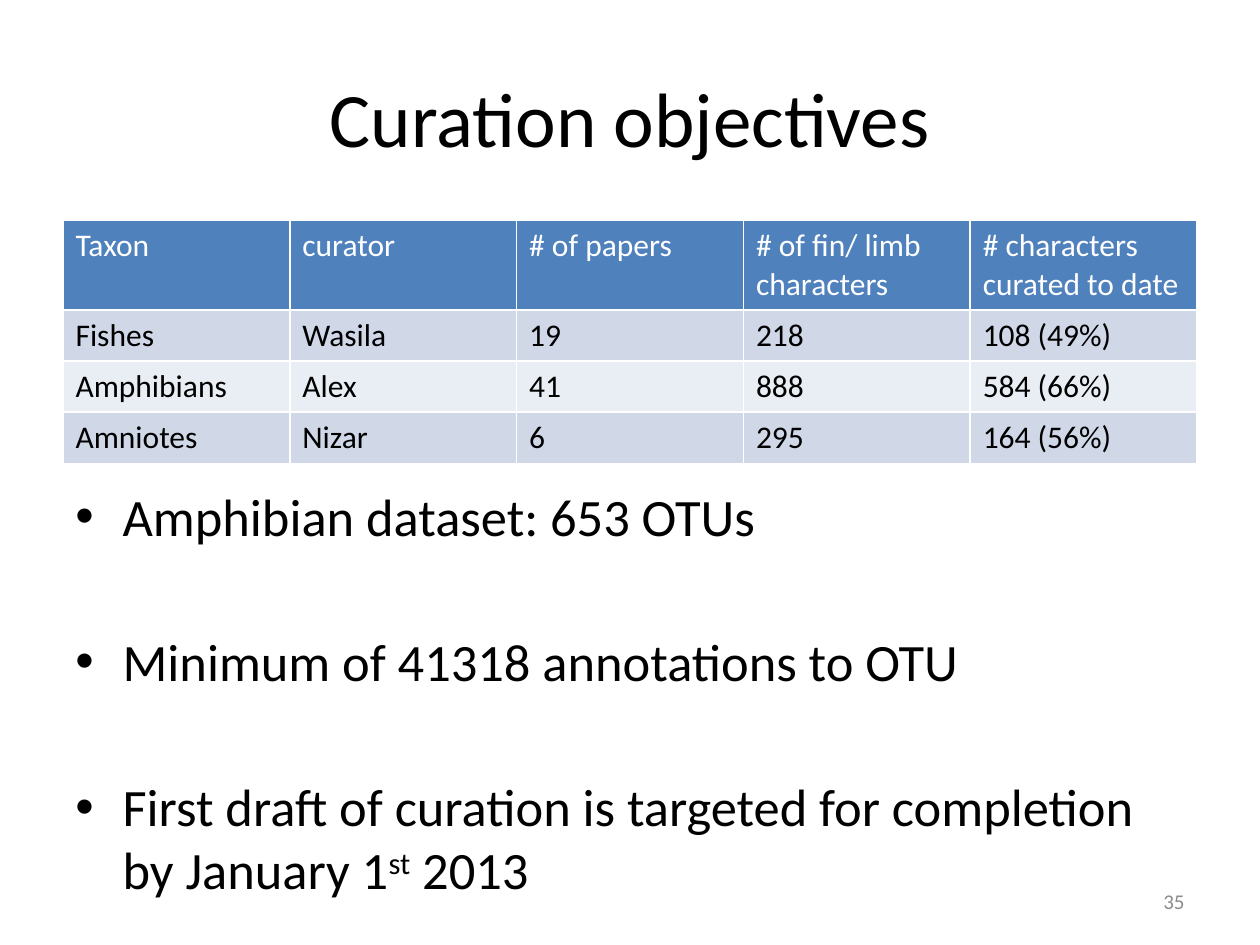
from lxml.etree import SubElement
from pptx import Presentation
from pptx.dml.color import RGBColor
from pptx.enum.text import MSO_ANCHOR, PP_ALIGN
from pptx.oxml.ns import qn
from pptx.util import Pt

BLACK = RGBColor(0x00, 0x00, 0x00)
WHITE = RGBColor(0xFF, 0xFF, 0xFF)
GRAY = RGBColor(0x8C, 0x8C, 0x8C)
HEADER_BLUE = RGBColor(0x4F, 0x81, 0xBD)
BAND_DARK = RGBColor(0xD0, 0xD8, 0xE8)
BAND_LIGHT = RGBColor(0xE9, 0xED, 0xF4)

PROGRESS = [
    ["Taxon", "curator", "# of papers", "# of fin/ limb characters",
     "# characters curated to date"],
    ["Fishes", "Wasila", "19", "218", "108 (49%)"],
    ["Amphibians", "Alex", "41", "888", "584 (66%)"],
    ["Amniotes", "Nizar", "6", "295", "164 (56%)"],
]
OBJECTIVES = [
    [("Amphibian dataset: 653 OTUs", False)],
    [("Minimum of 41318 annotations to OTU", False)],
    [("First draft of curation is targeted for completion by January 1", False),
     ("st", True), (" 2013", False)],
]


def set_font(font, size, color):
    """Apply the slide's typeface with a size and colour."""
    values = {"name": "Calibri", "size": Pt(size), "bold": False}
    for name, value in values.items():
        setattr(font, name, value)
    font.color.rgb = color


def place(shape, left, top, width, height):
    """Move a shape to a box given in points."""
    box = {"left": left, "top": top, "width": width, "height": height}
    for name, value in box.items():
        setattr(shape, name, Pt(value))


def add_title(slide, left, top, width, height):
    """Place and format the title placeholder."""
    title = slide.shapes.title
    place(title, left, top, width, height)
    title.text_frame.text = "Curation objectives"
    title.text_frame.vertical_anchor = MSO_ANCHOR.MIDDLE
    heading = title.text_frame.paragraphs[0]
    heading.alignment = PP_ALIGN.CENTER
    set_font(heading.font, 44, BLACK)


def add_borders(cell, widths):
    """Draw white borders, given as widths in points by side tag."""
    properties = cell._tc.get_or_add_tcPr()
    for index, (side, width) in enumerate(widths.items()):
        line = SubElement(properties, qn(f"a:{side}"), w=str(Pt(width)))
        color = SubElement(SubElement(line, qn("a:solidFill")), qn("a:srgbClr"))
        color.set("val", str(WHITE))
        properties.insert(index, line)


def add_progress_table(slide, left, top, width, header_height, row_height):
    """Build the banded table of curation progress per taxon."""
    height = header_height + row_height * (len(PROGRESS) - 1)
    table = slide.shapes.add_table(
        len(PROGRESS), len(PROGRESS[0]),
        Pt(left), Pt(top), Pt(width), Pt(height)).table
    for column in table.columns:
        column.width = Pt(width / len(PROGRESS[0]))
    for index, entries in enumerate(PROGRESS):
        is_header = index == 0
        table.rows[index].height = Pt(header_height if is_header else row_height)
        band = BAND_DARK if index % 2 else BAND_LIGHT
        for column, entry in enumerate(entries):
            cell = table.cell(index, column)
            cell.text = entry
            cell.fill.solid()
            cell.fill.fore_color.rgb = HEADER_BLUE if is_header else band
            set_font(cell.text_frame.paragraphs[0].runs[0].font, 18,
                     WHITE if is_header else BLACK)
            add_borders(cell, {"lnL": 1, "lnR": 1, "lnT": 1, "lnB": 1})


def add_objectives(slide, left, top, width, height):
    """Write the bulleted list of objectives."""
    frame = slide.shapes.add_textbox(
        Pt(left), Pt(top), Pt(width), Pt(height)).text_frame
    frame.word_wrap = True
    for index, objective in enumerate(OBJECTIVES):
        paragraph = frame.paragraphs[0] if index == 0 else frame.add_paragraph()
        properties = paragraph._p.get_or_add_pPr()
        properties.set("marL", str(Pt(27)))
        properties.set("indent", str(Pt(-27)))
        SubElement(properties, qn("a:buFont"), typeface="Arial")
        SubElement(properties, qn("a:buChar"), char="•")
        if index:
            paragraph.space_before = Pt(47)
        for wording, raised in objective:
            run = paragraph.add_run()
            run.text = wording
            set_font(run.font, 30, BLACK)
            if raised:
                run.font._element.set("baseline", "30000")


def add_page_number(slide, left, top, width, height):
    """Write the page number at the lower right."""
    frame = slide.shapes.add_textbox(
        Pt(left), Pt(top), Pt(width), Pt(height)).text_frame
    frame.word_wrap = True
    frame.vertical_anchor = MSO_ANCHOR.MIDDLE
    number = frame.paragraphs[0]
    number.alignment = PP_ALIGN.RIGHT
    run = number.add_run()
    run.text = "35"
    set_font(run.font, 12, GRAY)


def main():
    """Build and save the slide."""
    presentation = Presentation()
    presentation.slide_width = Pt(720)
    presentation.slide_height = Pt(540)
    slide = presentation.slides.add_slide(presentation.slide_layouts[5])
    add_title(slide, 36, 21.6, 648, 90)
    add_progress_table(slide, 36, 126, 648, 51, 29.2)
    add_objectives(slide, 36, 273, 648, 244)
    add_page_number(slide, 516, 500.5, 168, 28.8)
    presentation.save("out.pptx")


if __name__ == "__main__":
    main()
